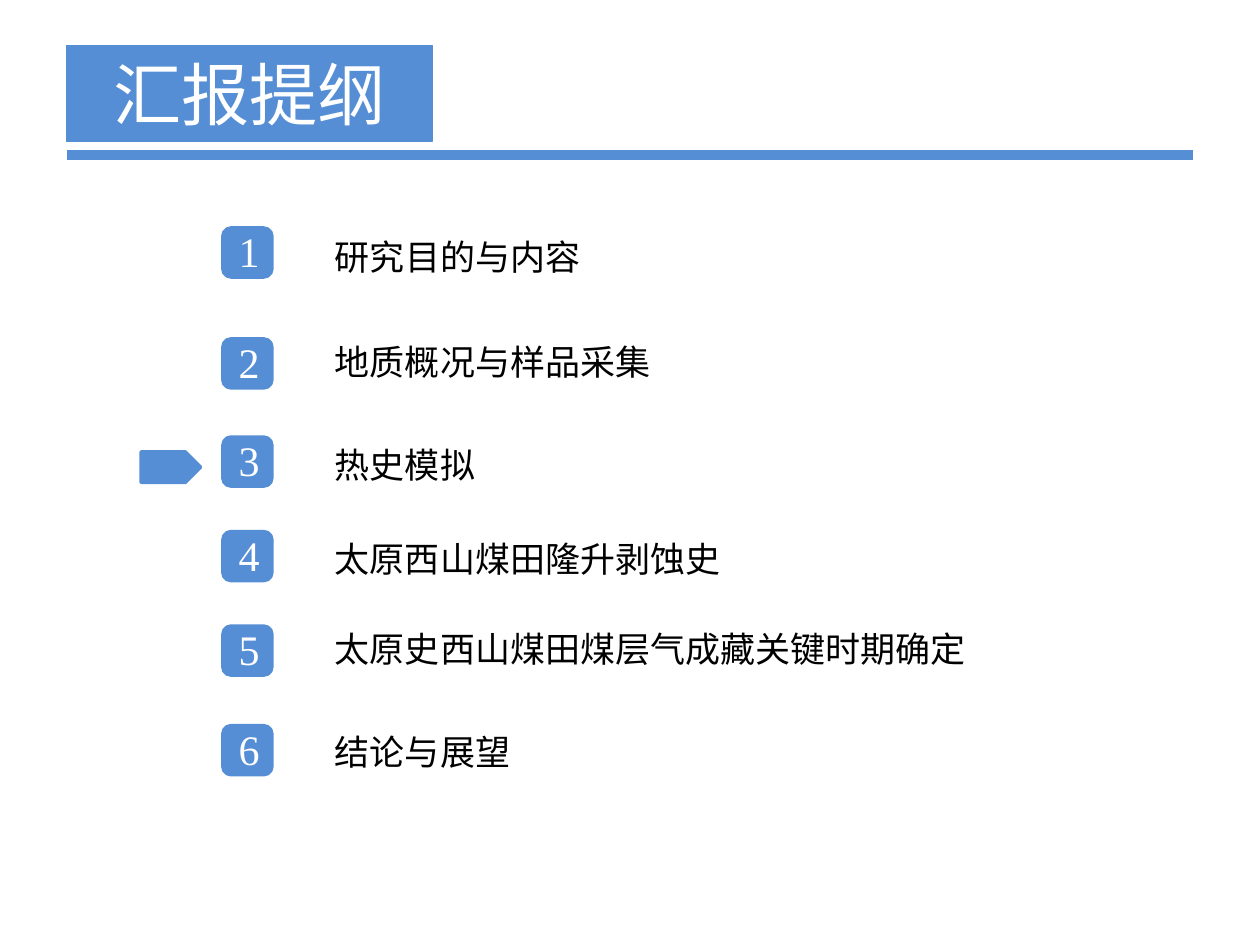
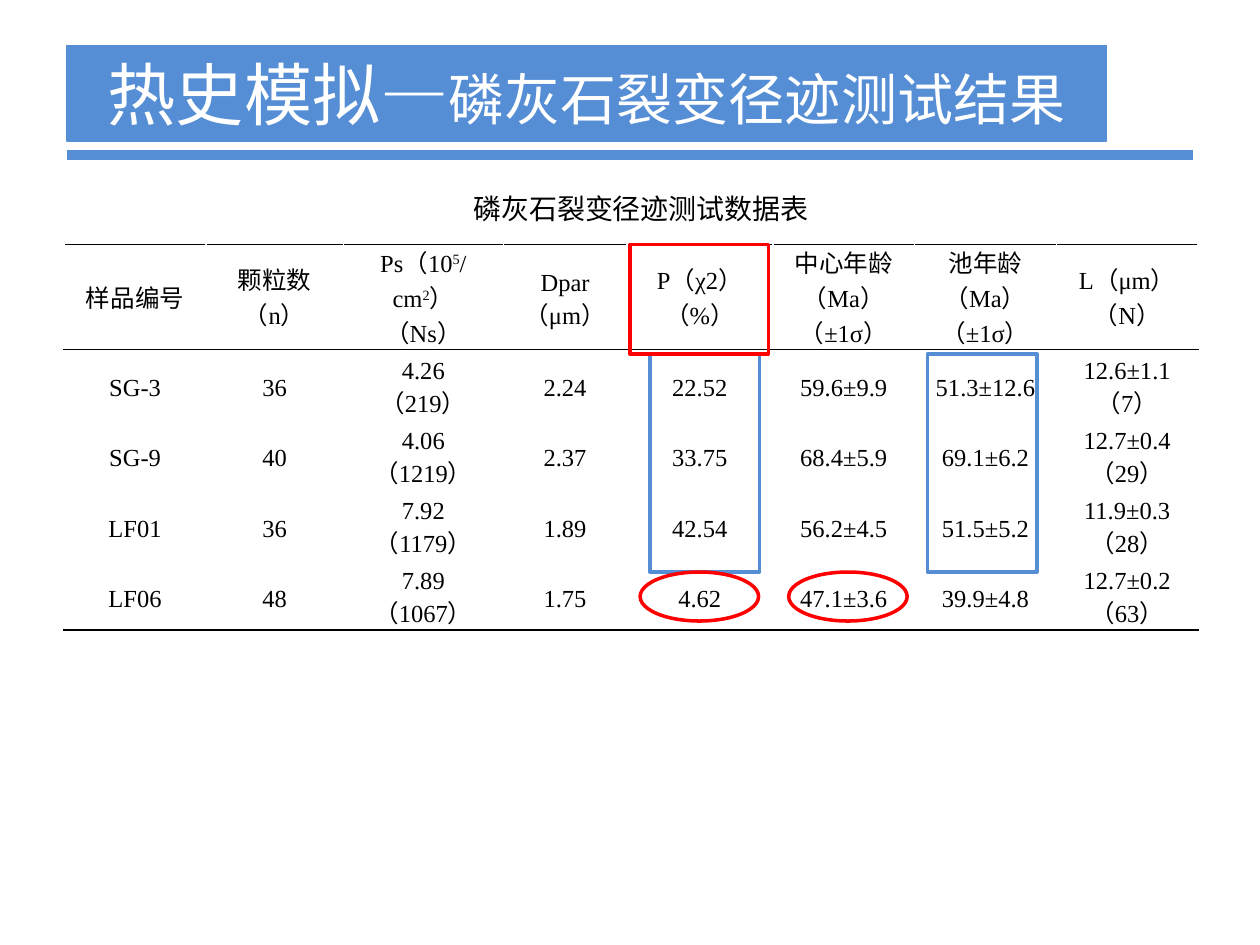
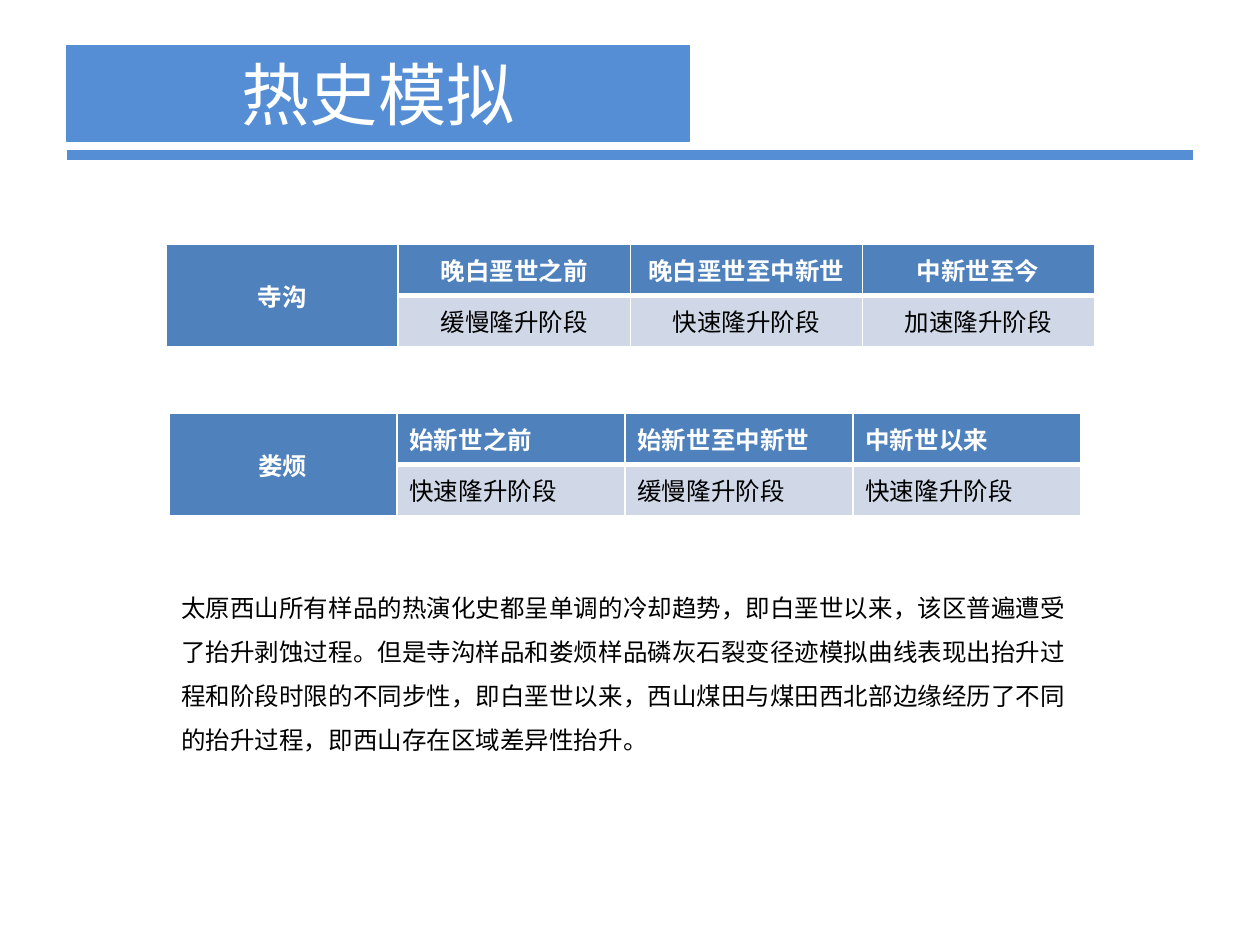
from lxml.etree import SubElement
from pptx import Presentation
from pptx.dml.color import RGBColor
from pptx.enum.shapes import MSO_CONNECTOR, MSO_SHAPE
from pptx.enum.text import MSO_ANCHOR, PP_ALIGN
from pptx.oxml.ns import qn
from pptx.util import Pt

COLORS = {
    "blue": "558ED5",
    "header": "4F81BD",
    "band": "D0D8E8",
    "red": "FF0000",
    "black": "000000",
    "white": "FFFFFF",
}
CHINESE = "Noto Sans CJK SC"
SERIF = "Times New Roman"
SANS = "Calibri"


def add_block(slide, kind, left, top, width, height, line, weight, fill=None):
    """Add a preset shape without shadow; no fill leaves it hollow."""
    block = slide.shapes.add_shape(kind, Pt(left), Pt(top), Pt(width), Pt(height))
    block.shadow.inherit = False
    block.line.color.rgb = RGBColor.from_string(COLORS[line])
    block.line.width = Pt(weight)
    if fill:
        block.fill.solid()
        block.fill.fore_color.rgb = RGBColor.from_string(COLORS[fill])
    else:
        block.fill.background()
    return block


def format_span(span, size, color, latin=CHINESE, bold=False):
    span.font.size = Pt(size)
    span.font.bold = bold
    span.font.color.rgb = RGBColor.from_string(COLORS[color])
    span.font.name = latin
    SubElement(span.font._element, qn("a:ea")).set("typeface", CHINESE)


deck = Presentation()
deck.slide_width, deck.slide_height = Pt(720), Pt(540)

# Shared title band and rule: band width, then text and size of each title part
titles = [
    (208.8, [("汇报提纲", 39)]),
    (594, [("热史模拟—", 39), ("磷灰石裂变径迹测试结果", 32)]),
    (355.7, [("热史模拟", 39)]),
]
for band_width, parts in titles:
    slide = deck.slides.add_slide(deck.slide_layouts[6])
    rule = slide.shapes.add_connector(MSO_CONNECTOR.STRAIGHT, Pt(38.2), Pt(88.6), Pt(681.8), Pt(88.6))
    rule.line.color.rgb = RGBColor.from_string(COLORS["blue"])
    rule.line.width = Pt(6)
    SubElement(rule._element.spPr, qn("a:effectLst"))
    band = add_block(slide, MSO_SHAPE.RECTANGLE, 38.2, 25.9, band_width, 54.7, "blue", 0.75, "blue")
    frame = band.text_frame
    frame.margin_top = frame.margin_bottom = 0
    frame.vertical_anchor = MSO_ANCHOR.MIDDLE
    frame.paragraphs[0].alignment = PP_ALIGN.CENTER
    for text, size in parts:
        span = frame.paragraphs[0].add_run()
        span.text = text
        format_span(span, size, "white")

outline_slide, results_slide, stages_slide = deck.slides

# Outline: badge top, label top, label width, label
topics = [
    (130.3, 131, 187, "研究目的与内容"),
    (193.7, 190.8, 261, "地质概况与样品采集"),
    (249.8, 249.8, 158, "热史模拟"),
    (303.8, 303.8, 346, "太原西山煤田隆升剥蚀史"),
    (357.8, 355, 380, "太原史西山煤田煤层气成藏关键时期确定"),
    (414.7, 414, 227, "结论与展望"),
]
for number, (badge_top, label_top, label_width, label) in enumerate(topics, 1):
    add_block(outline_slide, MSO_SHAPE.ROUNDED_RECTANGLE, 127.4, badge_top, 28, 28, "blue", 2, "blue")
    texts = [
        (127.4, badge_top - 5, 28, 36, str(number), 24, "white", SERIF, PP_ALIGN.RIGHT),
        (184.3, label_top, label_width, 31.5, label, 20, "black", CHINESE, PP_ALIGN.LEFT),
    ]
    for left, top, width, height, text, size, color, font, alignment in texts:
        box = outline_slide.shapes.add_textbox(Pt(left), Pt(top), Pt(width), Pt(height))
        box.text_frame.word_wrap = True
        box.text_frame.text = text
        para = box.text_frame.paragraphs[0]
        para.alignment = alignment
        format_span(para.runs[0], size, color, font)
add_block(outline_slide, MSO_SHAPE.PENTAGON, 80.6, 258.2, 34, 17.5, "blue", 2, "blue")

# Fission track results; text between carets is superscript
caption = results_slide.shapes.add_textbox(Pt(263.5), Pt(105.8), Pt(208), Pt(26.6))
caption.text_frame.text = "磷灰石裂变径迹测试数据表"
format_span(caption.text_frame.paragraphs[0].runs[0], 16, "black")

results = [
    ["样品编号", "颗粒数\n（n）", "Ρs（10^5^/cm^2^）\n（Ns）", "Dpar\n（μm）", "P（χ2）\n（%）",
     "中心年龄\n（Ma）（±1σ）", "池年龄\n（Ma）（±1σ）", "L（μm）\n（N）"],
    ["SG-3", "36", "4.26\n（219）", "2.24", "22.52", "59.6±9.9", "51.3±12.6", "12.6±1.1\n（7）"],
    ["SG-9", "40", "4.06\n（1219）", "2.37", "33.75", "68.4±5.9", "69.1±6.2", "12.7±0.4\n（29）"],
    ["LF01", "36", "7.92\n（1179）", "1.89", "42.54", "56.2±4.5", "51.5±5.2", "11.9±0.3\n（28）"],
    ["LF06", "48", "7.89\n（1067）", "1.75", "4.62", "47.1±3.6", "39.9±4.8", "12.7±0.2\n（63）"],
]
column_widths = [81, 78.5, 91.5, 70.5, 83.5, 81, 81, 81]
borders = []  # cell, side, colour, weight
table = results_slide.shapes.add_table(5, 8, Pt(36.7), Pt(139.7), Pt(648), Pt(220)).table
table.first_row = table.horz_banding = False
for column, width in zip(table.columns, column_widths):
    column.width = Pt(width)
for row_index, row in enumerate(results):
    table.rows[row_index].height = Pt(40 if row_index else 60)
    for column_index, text in enumerate(row):
        cell = table.cell(row_index, column_index)
        cell.fill.background()
        cell.vertical_anchor = MSO_ANCHOR.MIDDLE
        cell.margin_left = cell.margin_right = Pt(5)
        cell.margin_top = cell.margin_bottom = 0
        cell.text_frame.text = text.replace("^", "")
        for para, line in zip(cell.text_frame.paragraphs, text.split("\n")):
            para.text = ""
            para.alignment = PP_ALIGN.CENTER
            para.line_spacing = Pt(20)
            for part_index, part in enumerate(line.split("^")):
                span = para.add_run()
                span.text = part
                format_span(span, 14, "black", SERIF)
                if part_index % 2:
                    span.font._element.set("baseline", "30000")
        if row_index <= 1:
            borders.append((cell, "T", "black", 1))
        if row_index in (0, 4):
            borders.append((cell, "B", "black", 1))

highlights = [
    (MSO_SHAPE.RECTANGLE, 371.5, 202.3, 62.6, 124.6, "blue"),
    (MSO_SHAPE.RECTANGLE, 529.9, 202.3, 62.6, 124.6, "blue"),
    (MSO_SHAPE.OVAL, 365.8, 326.9, 67.7, 28, "red"),
    (MSO_SHAPE.OVAL, 450.7, 326.9, 67.7, 28, "red"),
    (MSO_SHAPE.RECTANGLE, 360, 139.7, 79.2, 62.6, "red"),
]
for kind, left, top, width, height, color in highlights:
    add_block(results_slide, kind, left, top, width, height, color, 2)

# Uplift stages: left, top, column width, alignment, site, periods, stages
sites = [
    (95, 139.7, 132.6, PP_ALIGN.CENTER, "寺沟",
     ["晚白垩世之前", "晚白垩世至中新世", "中新世至今"],
     ["缓慢隆升阶段", "快速隆升阶段", "加速隆升阶段"]),
    (96.5, 236.2, 130.3, PP_ALIGN.LEFT, "娄烦",
     ["始新世之前", "始新世至中新世", "中新世以来"],
     ["快速隆升阶段", "缓慢隆升阶段", "快速隆升阶段"]),
]
for left, top, column_width, alignment, site, periods, stages in sites:
    table = stages_slide.shapes.add_table(2, 4, Pt(left), Pt(top), Pt(4 * column_width), Pt(58.4)).table
    table.cell(0, 0).merge(table.cell(1, 0))
    for row_index, row in enumerate([[site, *periods], ["", *stages]]):
        for column_index, text in enumerate(row):
            cell = table.cell(row_index, column_index)
            heading = row_index == 0 or column_index == 0
            cell.fill.solid()
            cell.fill.fore_color.rgb = RGBColor.from_string(COLORS["header" if heading else "band"])
            cell.vertical_anchor = MSO_ANCHOR.MIDDLE
            for side in "LRTB":
                thick = (row_index, side) in ((0, "B"), (1, "T")) and column_index > 0
                borders.append((cell, side, "white", 3 if thick else 1))
            if text:
                cell.text_frame.text = text
                para = cell.text_frame.paragraphs[0]
                para.alignment = alignment if column_index else PP_ALIGN.CENTER
                format_span(para.runs[0], 14, "white" if heading else "black", SANS, heading)

# Border elements come before the fill in the cell properties
for position, (cell, side, color, weight) in enumerate(borders):
    properties = cell._tc.get_or_add_tcPr()
    edge = SubElement(properties, qn(f"a:ln{side}"), w=str(Pt(weight)))
    SubElement(SubElement(edge, qn("a:solidFill")), qn("a:srgbClr"), val=COLORS[color])
    fill = next(child for child in properties if child.tag in (qn("a:solidFill"), qn("a:noFill")))
    fill.addprevious(edge)

summary = stages_slide.shapes.add_textbox(Pt(96.5), Pt(326.9), Pt(527), Pt(108.7))
summary.text_frame.word_wrap = True
summary.text_frame.text = (
    "太原西山所有样品的热演化史都呈单调的冷却趋势，即白垩世以来，该区普遍遭受了抬升剥蚀过程。"
    "但是寺沟样品和娄烦样品磷灰石裂变径迹模拟曲线表现出抬升过程和阶段时限的不同步性，"
    "即白垩世以来，西山煤田与煤田西北部边缘经历了不同的抬升过程，即西山存在区域差异性抬升。"
)
para = summary.text_frame.paragraphs[0]
para.line_spacing = 1.5
format_span(para.runs[0], 14, "black", SANS)

deck.save("out.pptx")
